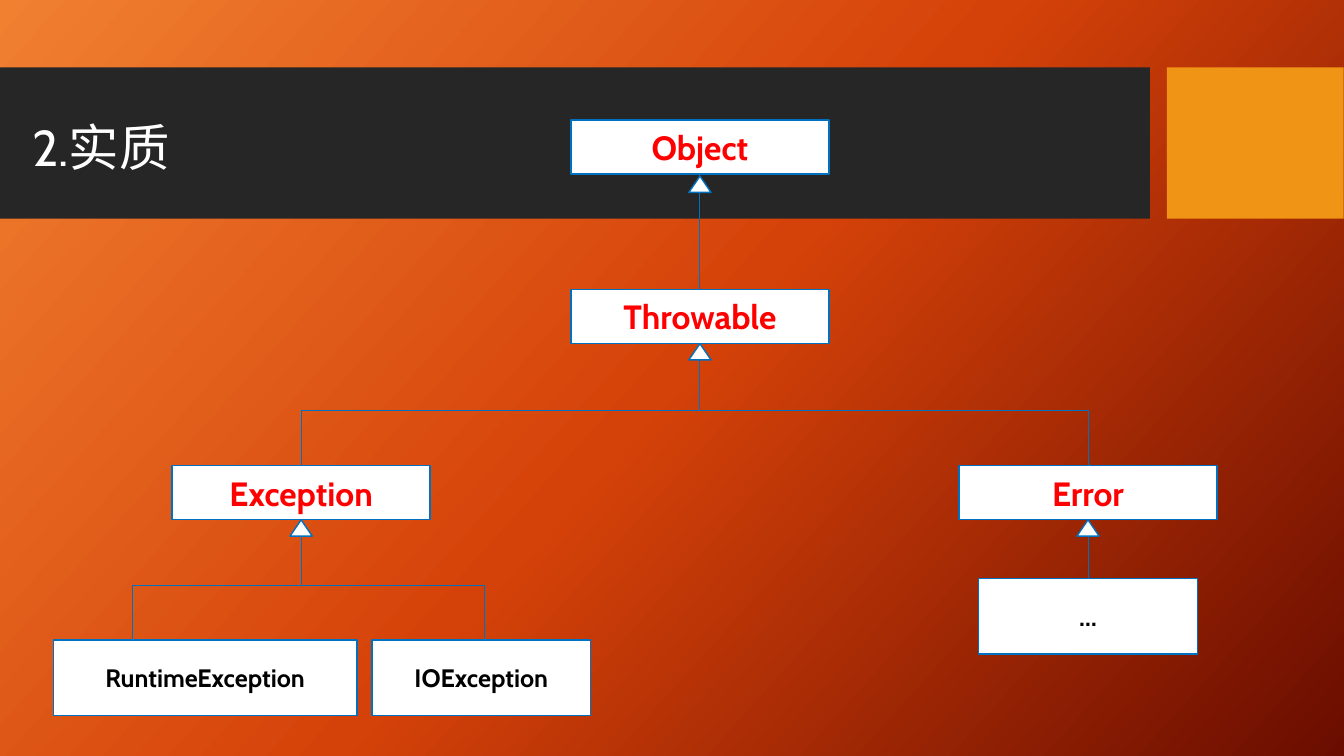
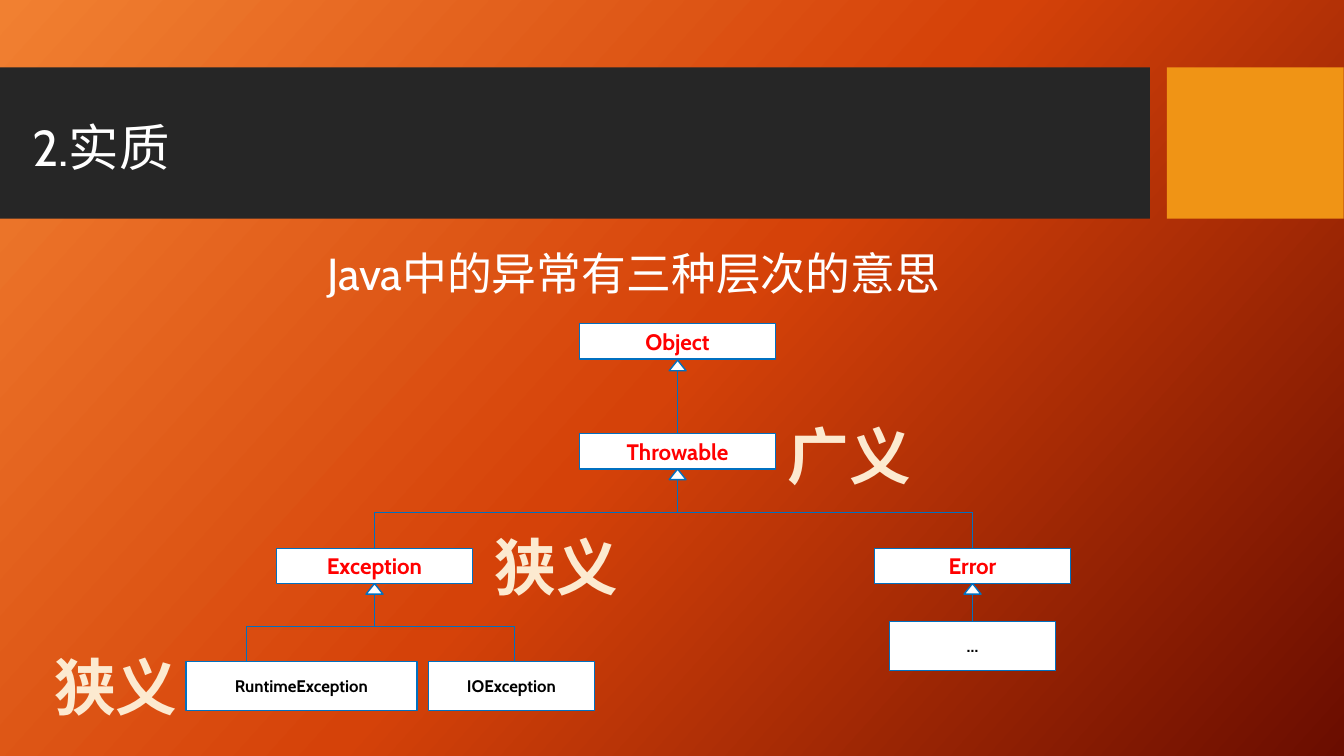
from copy import deepcopy
from dataclasses import dataclass

from lxml.etree import SubElement
from pptx import Presentation
from pptx.dml.color import RGBColor
from pptx.enum.dml import MSO_PATTERN
from pptx.enum.shapes import MSO_CONNECTOR, MSO_SHAPE
from pptx.enum.text import MSO_ANCHOR, PP_ALIGN
from pptx.oxml import parse_xml
from pptx.oxml.ns import nsdecls, qn
from pptx.util import Cm, Pt

COLOURS = {
    "band": "262626",
    "accent": "F09415",
    "pale": "FCEAD0",
    "white": "FFFFFF",
    "edge": "0070C0",
    "key": "FF0000",
    "leaf": "000000",
}
BACKGROUND = [(0, "F18031"), (0.5, "D54209"), (1, "6A0D00")]
BACKGROUND_ANGLE = 360 - 42
FONT = "Cabin"


@dataclass
class Scale:
    """Maps the diagram's full-size centimetres onto the page."""
    across: float = 1
    down: float = 1
    left: float = 0
    top: float = 0
    text: float = 1

    def place(self, x, y, width, height):
        return (self.left + x * self.across, self.top + y * self.down,
                width * self.across, height * self.down)

    def point(self, x, y):
        return self.place(x, y, 0, 0)[:2]


# label: centre, top, width, height, text size, colour
CLASS_BOX = (6.5, 1.37, 24, "key")
LEAF_BOX = (5.51, 1.9, 18, "leaf")
BOXES = {
    "Object": (17.64, 3.02, *CLASS_BOX),
    "Throwable": (17.64, 7.29, *CLASS_BOX),
    "Exception": (7.59, 11.73, *CLASS_BOX),
    "Error": (27.42, 11.73, *CLASS_BOX),
    "RuntimeException": (5.17, 16.13, 7.65, *LEAF_BOX[1:]),
    "IOException": (12.13, 16.13, *LEAF_BOX),
    "…": (27.42, 14.58, *LEAF_BOX),
}
# parent: height of the crossbar, {child: x of its stem}
BRANCHES = {
    "Object": (5.8, {"Throwable": 17.64}),
    "Throwable": (10.34, {"Exception": 7.59, "Error": 27.42}),
    "Exception": (14.76, {"RuntimeException": 3.33, "IOException": 12.22}),
    "Error": (14.0, {"…": 27.42}),
}
ARROW_WIDTH, ARROW_HEIGHT = 0.56, 0.41


def colour(name):
    return RGBColor.from_string(COLOURS[name])


class Painter:
    def __init__(self, deck):
        self.deck = deck
        self.page = None
        self.shapes = None

    def new_page(self, title):
        self.page = self.deck.slides.add_slide(self.deck.slide_layouts[6])
        self.shapes = self.page.shapes
        self.background()
        self.shape((0, 1.7, 28.98, 3.81), "band")
        self.shape((29.41, 1.7, 4.45, 3.81), "accent")
        self.text((0.56, 2.29, 20.19, 3), title, size=36,
                  anchor=MSO_ANCHOR.MIDDLE, line_spacing=0.9)

    def background(self):
        fill = self.page.background.fill
        fill.gradient()
        fill.gradient_angle = BACKGROUND_ANGLE
        stop_list = self.page.element.find(".//" + qn("a:gsLst"))
        stop_list.append(deepcopy(stop_list[0]))
        for stop, (position, shade) in zip(fill.gradient_stops, BACKGROUND):
            stop.position = position
            stop.color.rgb = RGBColor.from_string(shade)

    def shape(self, place, fill, edge=None, kind=MSO_SHAPE.RECTANGLE):
        shape = self.shapes.add_shape(kind, *map(Cm, place))
        shape.shadow.inherit = False
        shape.fill.solid()
        shape.fill.fore_color.rgb = colour(fill)
        if edge:
            shape.line.color.rgb = colour(edge)
            shape.line.width = Pt(1)
        else:
            shape.line.fill.background()
        return shape

    def line(self, start, end):
        line = self.shapes.add_connector(
            MSO_CONNECTOR.STRAIGHT, *map(Cm, (*start, *end)))
        line.line.color.rgb = colour("edge")
        line.line.width = Pt(0.75)
        SubElement(line.element.spPr, qn("a:effectLst"))

    def label(self, shape, words, size, ink="white", bold=False,
              anchor=MSO_ANCHOR.TOP, wrap=True, **paragraph_format):
        frame = shape.text_frame
        para = frame.paragraphs[0]
        span = para.add_run()
        span.text = words
        span.font.color.rgb = colour(ink)
        formats = (
            (frame, {"word_wrap": wrap, "vertical_anchor": anchor}),
            (para, paragraph_format),
            (span.font, {"name": FONT, "size": Pt(size), "bold": bold}),
        )
        for target, values in formats:
            for name, value in values.items():
                setattr(target, name, value)
        return span

    def text(self, place, words, **style):
        box = self.shapes.add_textbox(*map(Cm, place))
        return self.label(box, words, **style)

    def meaning(self, left, top, words):
        """Large patterned, outlined lettering beside a box."""
        span = self.text((left, top, 3.66, 2.13), words, size=44, bold=True,
                         wrap=False, alignment=PP_ALIGN.CENTER)
        fill = span.font.fill
        fill.patterned()
        fill.pattern = MSO_PATTERN.PERCENT_50
        fill.fore_color.rgb = colour("accent")
        fill.back_color.rgb = colour("pale")
        properties = span.font.fill._xPr
        properties.insert(0, parse_xml(
            f'<a:ln {nsdecls("a")} w="{Pt(1)}"><a:solidFill>'
            f'<a:srgbClr val="{COLOURS["accent"]}"/></a:solidFill></a:ln>'))

    def branch(self, parent, scale):
        """Stem, crossbar and hollow arrowhead below a parent box."""
        centre, top, _, height, *_ = BOXES[parent]
        bar, stems = BRANCHES[parent]
        bottom = top + height
        strokes = [((centre, bottom), (centre, bar))]
        strokes += [((x, bar), (x, BOXES[child][1])) for child, x in stems.items()]
        if len(stems) > 1:
            strokes.append(((min(stems.values()), bar), (max(stems.values()), bar)))
        for start, end in strokes:
            self.line(scale.point(*start), scale.point(*end))
        gap = 0.05 if parent == "Object" else 0
        arrow = (centre - ARROW_WIDTH / 2, bottom + gap, ARROW_WIDTH, ARROW_HEIGHT)
        self.shape(scale.place(*arrow), "white", "edge",
                   MSO_SHAPE.ISOSCELES_TRIANGLE)

    def hierarchy(self, scale):
        self.shapes = self.page.shapes.add_group_shape().shapes
        for parent in BRANCHES:
            self.branch(parent, scale)
        for name, (centre, top, width, height, size, ink) in BOXES.items():
            place = scale.place(centre - width / 2, top, width, height)
            box = self.shape(place, "white", "edge")
            self.label(box, name, size * scale.text, ink, bold=True,
                       anchor=MSO_ANCHOR.MIDDLE, alignment=PP_ALIGN.CENTER)
        self.shapes = self.page.shapes


def main():
    deck = Presentation()
    deck.slide_width, deck.slide_height = Cm(33.87), Cm(19.05)
    painter = Painter(deck)

    painter.new_page("2.实质")
    painter.hierarchy(Scale())

    painter.new_page("2.实质")
    painter.text((8, 6.07, 23.7, 1.63), "Java中的异常有三种层次的意思", size=32)
    painter.hierarchy(Scale(across=0.76, down=0.65, left=3.67, top=6.19, text=2 / 3))
    for left, top, words in ((19.58, 10.41, "广义"), (12.19, 13.21, "狭义"),
                             (1.09, 16.23, "狭义")):
        painter.meaning(left, top, words)

    deck.save("out.pptx")


if __name__ == "__main__":
    main()
